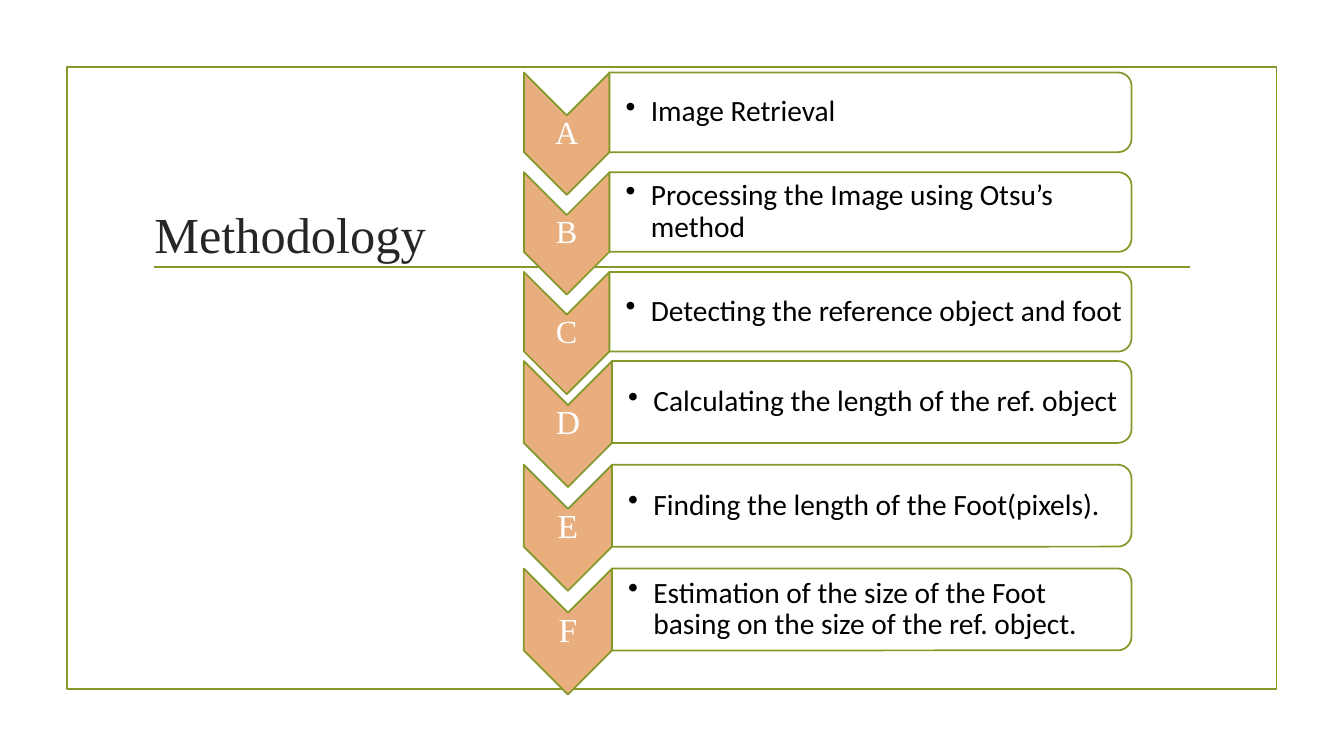
from lxml import etree
from pptx import Presentation, util as u
from pptx.dml.color import RGBColor
from pptx.enum import shapes, text
from pptx.oxml.ns import qn

TITLE = "Methodology"
STAGES = [
    {"top": 51.8, "pitch": 71.2, "length": 87.4, "width": 61.2, "panel": 56.9, "letter_size": 23,
     "steps": [("A", "Image Retrieval"),
               ("B", "Processing the Image using Otsu’s method"),
               ("C", "Detecting the reference object and foot")]},
    {"top": 257.9, "pitch": 74.1, "length": 90, "width": 63, "panel": 58.5, "letter_size": 24,
     "steps": [("D", "Calculating the length of the ref. object"),
               ("E", "Finding the length of the Foot(pixels)."),
               ("F", "Estimation of the size of the Foot basing on the size of the ref. object.")]},
]
THEME = {
    "green": RGBColor.from_string("83992A"), "orange": RGBColor.from_string("E8AE7E"),
    "white": RGBColor.from_string("FFFFFF"), "black": RGBColor.from_string("000000"),
    "title": RGBColor.from_string("262626"),
    "serif": "Times New Roman", "sans": "Calibri",
    "title_size": 36, "step_size": 21, "line": 1.25,
}
STEPS_LEFT, STEPS_RIGHT = 374.2, 808.2
RULE_LEFT, RULE_RIGHT, RULE_TOP = 110.2, 850.3, 190.8


def set_all(target, **values):
    for name, value in values.items():
        setattr(target, name, value)


def points(*values):
    return [u.Pt(round(value, 2)) for value in values]


def outline(item):
    set_all(item.line, width=u.Pt(THEME["line"]))
    item.line.color.rgb = THEME["green"]


def add_outlined(slide, kind, box, fill=None, rotation=0):
    left, top, width, height = box
    if rotation:
        left, top = left + (width - height) / 2, top + (height - width) / 2
        width, height = height, width
    shape = slide.shapes.add_shape(kind, *points(left, top, width, height))
    shape.shadow.inherit = False
    shape.rotation = rotation
    if fill is None:
        shape.fill.background()
    else:
        shape.fill.solid()
        shape.fill.fore_color.rgb = fill
    outline(shape)
    return shape


def add_label(slide, box, words, font, size, color, insets, align, spacing=1.0, bullet=False):
    frame = slide.shapes.add_textbox(*points(*box)).text_frame
    left, top, right, bottom = points(*insets)
    set_all(frame, word_wrap=True, vertical_anchor=text.MSO_ANCHOR.MIDDLE,
            margin_left=left, margin_top=top, margin_right=right, margin_bottom=bottom)
    paragraph = frame.paragraphs[0]
    set_all(paragraph, text=words, alignment=align, line_spacing=spacing)
    if bullet:
        properties = paragraph._p.get_or_add_pPr()
        properties.set("marL", str(u.Pt(18)))
        properties.set("indent", str(u.Pt(-18)))
        etree.SubElement(properties, qn("a:buChar")).set("char", "•")
    set_all(paragraph.runs[0].font, name=font, size=u.Pt(size))
    paragraph.runs[0].font.color.rgb = color


def add_step(slide, stage, index, letter, words):
    top = stage["top"] + index * stage["pitch"]
    length, width, height = stage["length"], stage["width"], stage["panel"]
    panel_left = STEPS_LEFT + width
    panel_width = STEPS_RIGHT - panel_left
    add_outlined(slide, shapes.MSO_SHAPE.CHEVRON, (STEPS_LEFT, top, width, length),
                 THEME["orange"], 90)
    add_label(slide, (STEPS_LEFT, top + width / 2, width, length - width), letter,
              THEME["serif"], stage["letter_size"], THEME["white"], (1.4,) * 4,
              text.PP_ALIGN.CENTER, 0.9)
    panel = add_outlined(slide, shapes.MSO_SHAPE.ROUND_2_SAME_RECTANGLE,
                         (panel_left, top, panel_width, height), THEME["white"], 90)
    color = panel.fill._xPr.find(qn("a:solidFill"))[0]
    etree.SubElement(color, qn("a:alpha")).set("val", "90000")
    add_label(slide, (panel_left, top + 2.8, panel_width - 2.8, height - 5.6), words,
              THEME["sans"], THEME["step_size"], THEME["black"], (11.5, 0.9, 0.9, 0.9),
              text.PP_ALIGN.LEFT, 0.9, True)


def main():
    presentation = Presentation()
    set_all(presentation, slide_width=u.Pt(960), slide_height=u.Pt(540))
    slide = presentation.slides.add_slide(presentation.slide_layouts[6])
    add_outlined(slide, shapes.MSO_SHAPE.RECTANGLE, (47.8, 48, 864, 444.2))
    rule = slide.shapes.add_connector(
        shapes.MSO_CONNECTOR.STRAIGHT, *points(RULE_LEFT, RULE_TOP, RULE_RIGHT, RULE_TOP))
    outline(rule)
    etree.SubElement(rule._element.spPr, qn("a:effectLst"))
    add_label(slide, (RULE_LEFT, 133.2, 212.4, 67), TITLE, THEME["serif"],
              THEME["title_size"], THEME["title"], (0, 3.6, 0, 3.6), text.PP_ALIGN.LEFT)
    for stage in STAGES:
        for index, (letter, words) in enumerate(stage["steps"]):
            add_step(slide, stage, index, letter, words)
    presentation.save("out.pptx")


if __name__ == "__main__":
    main()
